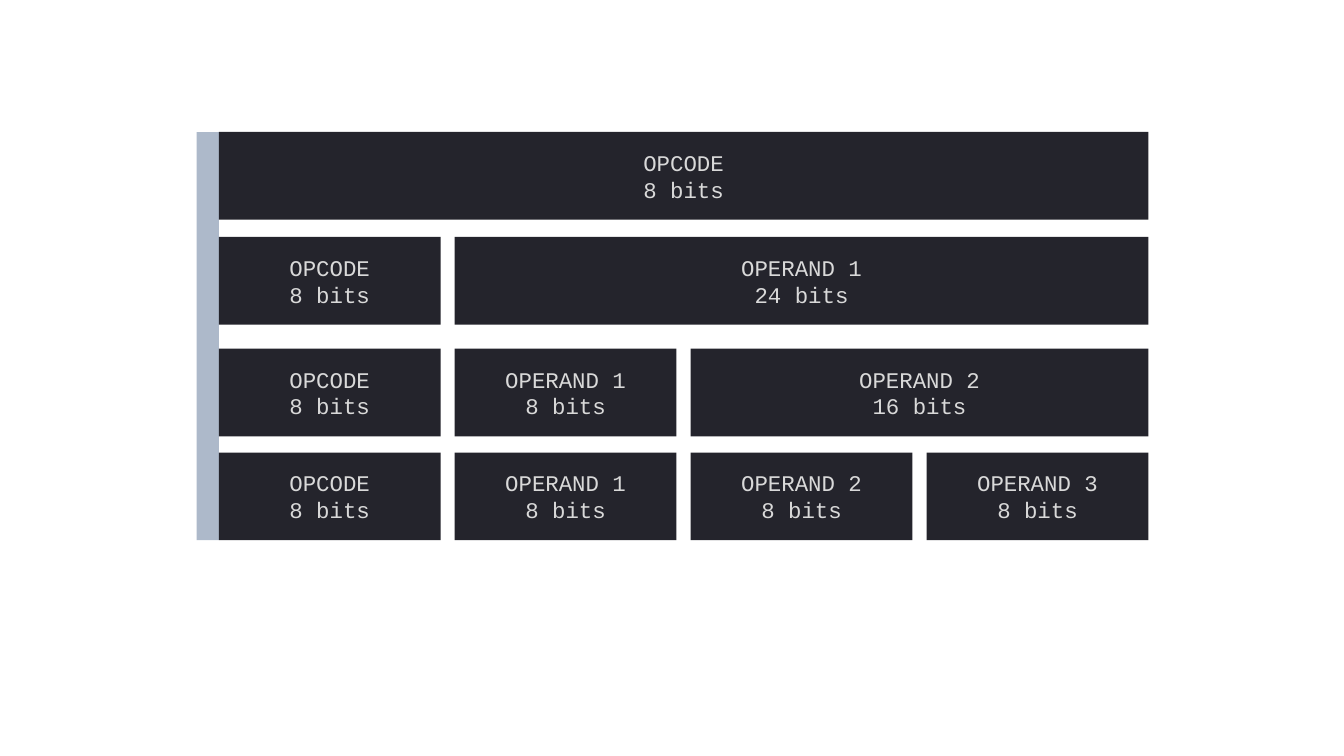
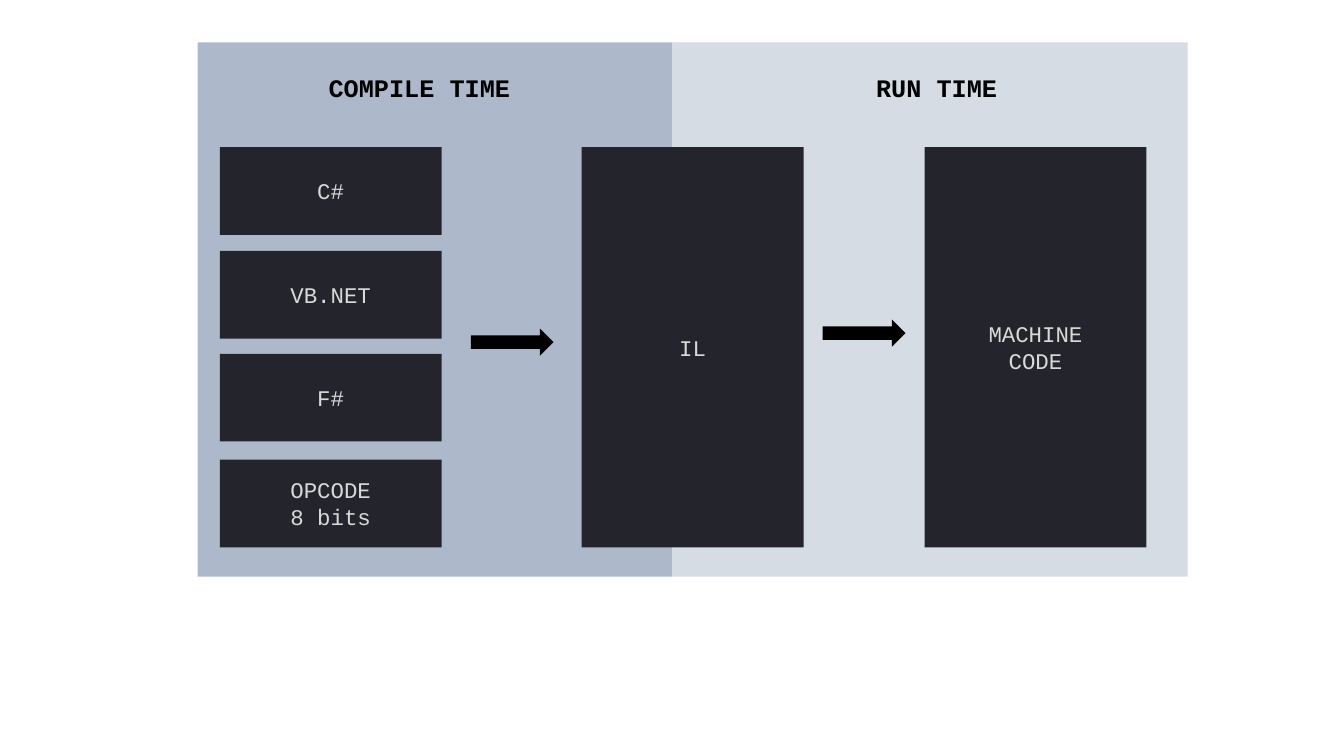
from dataclasses import dataclass

from lxml import etree
from pptx import Presentation
from pptx.dml.color import RGBColor
from pptx.enum.shapes import MSO_SHAPE
from pptx.enum.text import MSO_ANCHOR, MSO_AUTO_SIZE, PP_ALIGN
from pptx.oxml.ns import qn
from pptx.util import Emu, Pt

RECT = MSO_SHAPE.RECTANGLE
ARROW = MSO_SHAPE.RIGHT_ARROW
MIDDLE = MSO_ANCHOR.MIDDLE
GROW = MSO_AUTO_SIZE.SHAPE_TO_FIT_TEXT
CENTER, LEFT = PP_ALIGN.CENTER, PP_ALIGN.LEFT

PX = 9144  # EMU, 100 px to the inch
BOX_W, BOX_H = 220, 87


@dataclass(frozen=True)
class Theme:
    dark: str = "24242C"
    pale: str = "D9D9D9"
    band: str = "ADB9CA"
    tint: str = "ADBACA"
    ink: str = "000000"
    font: str = "Courier New"
    label: int = 16
    head: int = 18


class Deck:
    def __init__(self, theme):
        self.theme = theme
        self.prs = Presentation()
        self.prs.slide_width, self.prs.slide_height = self.emu(1333, 750)
        self.slide = None

    def emu(self, *sizes):
        return [Emu(size * PX) for size in sizes]

    def new(self):
        self.slide = self.prs.slides.add_slide(self.prs.slide_layouts[6])

    def shape(self, kind, x, y, w, h, color, alpha=100):
        """Add a flat preset shape; alpha is its opacity in percent."""
        item = self.slide.shapes.add_shape(kind, *self.emu(x, y, w, h))
        item.shadow.inherit = False
        item.fill.solid()
        item.fill.fore_color.rgb = RGBColor.from_string(color)
        item.line.fill.background()
        if alpha < 100:
            tone = item.element.spPr.find(".//" + qn("a:srgbClr"))
            etree.SubElement(tone, qn("a:alpha"), val=str(alpha * 1000))
        return item

    def label(self, frame, text, size, color, align, bold=False):
        frame.text = text
        for para in frame.paragraphs:
            para.alignment = align
            para.font.name = self.theme.font
            para.font.size = Pt(size)
            para.font.bold = bold
            para.font.color.rgb = RGBColor.from_string(color)

    def box(self, text, x, y, w=BOX_W, h=BOX_H):
        frame = self.shape(RECT, x, y, w, h, self.theme.dark).text_frame
        frame.vertical_anchor = MIDDLE
        self.label(frame, text, self.theme.label, self.theme.pale, CENTER)

    def panel(self, x, y, w, h, color, alpha=100):
        self.shape(RECT, x, y, w, h, color, alpha)

    def arrow(self, x, y):
        self.shape(ARROW, x, y, 82, 27, self.theme.ink)

    def head(self, text, x, y, w):
        item = self.slide.shapes.add_textbox(*self.emu(x, y, w, 40))
        frame = item.text_frame
        frame.word_wrap = False
        frame.auto_size = GROW
        self.label(frame, text, self.theme.head, self.theme.ink, LEFT, True)


def formats(deck):
    """Instruction layouts: the last field of each row fills the row."""
    left, pitch, right = 217, 234, 1139
    rows = [(131, [8]), (235, [8, 24]), (346, [8, 8, 16]), (449, [8, 8, 8, 8])]
    deck.new()
    deck.panel(195, 131, 22, 405, deck.theme.band)
    for top, fields in rows:
        for col, bits in enumerate(fields):
            x = left + col * pitch
            last = col == len(fields) - 1
            name = f"OPERAND {col}" if col else "OPCODE"
            deck.box(f"{name}\n{bits} bits", x, top, right - x if last else BOX_W)


def stages(deck):
    """Source languages become IL, then machine code."""
    top, tall = 146, 397
    deck.new()
    deck.panel(667, 42, 511, 530, deck.theme.tint, 50)
    deck.panel(196, 42, 471, 530, deck.theme.band)
    langs = [("C#", top), ("VB.NET", 249), ("F#", 351), ("OPCODE\n8 bits", 456)]
    for text, y in langs:
        deck.box(text, 218, y)
    for text, x in [("IL", 577), ("MACHINE\vCODE", 917)]:
        deck.box(text, x, top, h=tall)
    deck.arrow(467, 326)
    deck.arrow(816, 317)
    deck.head("COMPILE TIME", 316, 67, 201)
    deck.head("RUN TIME", 859, 67, 141)


def main():
    deck = Deck(Theme())
    formats(deck)
    stages(deck)
    deck.prs.save("out.pptx")


if __name__ == "__main__":
    main()
